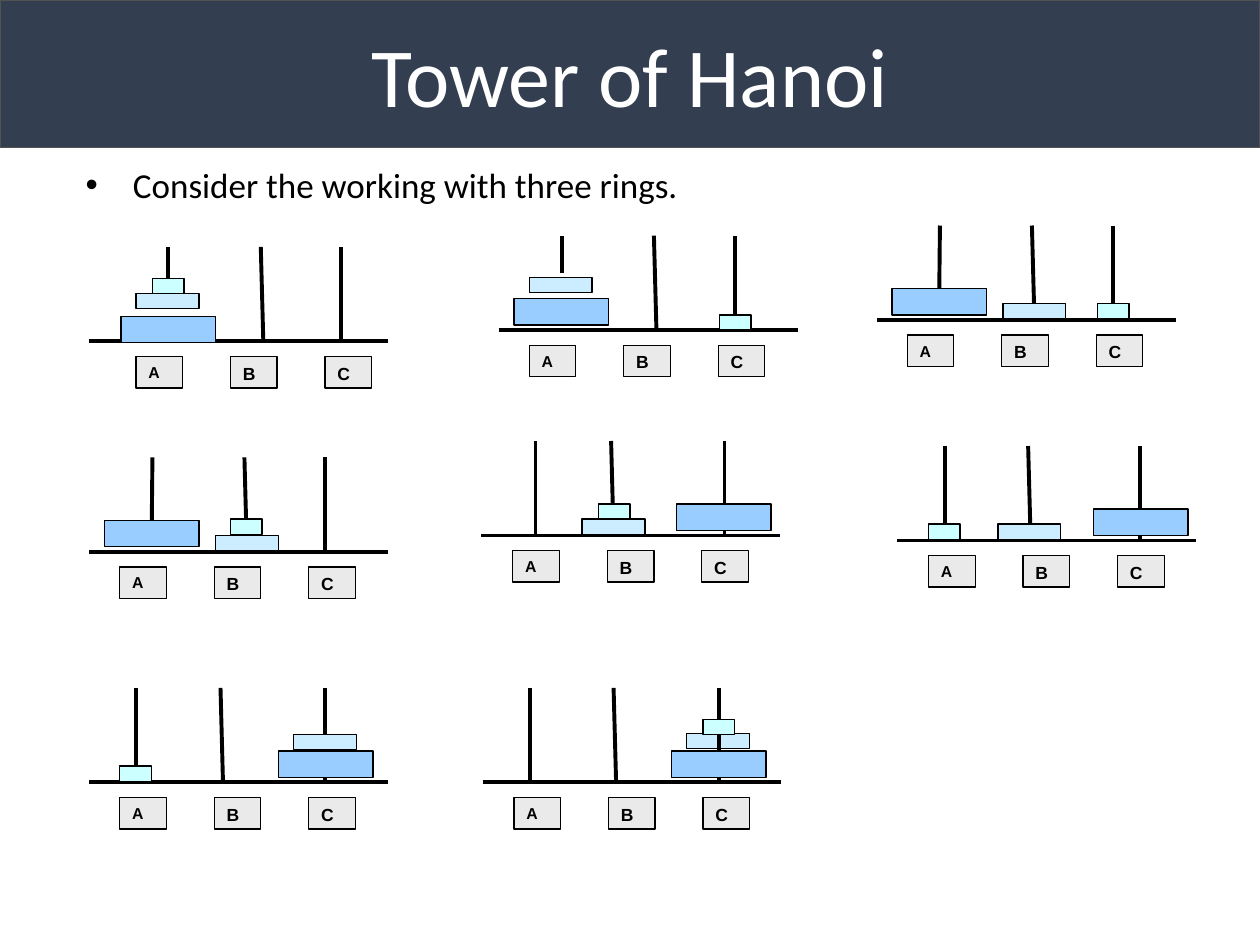
from typing import NamedTuple

from lxml.etree import SubElement
from pptx import Presentation
from pptx.dml.color import RGBColor
from pptx.enum.shapes import MSO_CONNECTOR, MSO_SHAPE
from pptx.enum.text import MSO_ANCHOR, MSO_AUTO_SIZE, PP_ALIGN
from pptx.oxml.ns import qn
from pptx.util import Inches, Pt

COLORS = {
    "banner": "333F50", "banner_edge": "525252", "white": "FFFFFF",
    "black": "000000", "label": "EAEAEA",
    "large": "99CCFF", "medium": "CCECFF", "small": "CCFFFF",
}
RING_SIZES = {"large": (0.75, 0.21), "medium": (0.5, 0.12), "small": (0.25, 0.12)}
BASE_WIDTH, PEG_HEIGHT, PEG_B_LEAN = 2.37, 0.75, 0.02
LABEL_DROP, LABEL_STEP, LABEL_SIZE = 0.12, 0.75, (0.37, 0.25)
LABELS = (("A", 9), ("B", 10), ("C", 10))


class Ring(NamedTuple):
    size: str
    dx: float             # from the left end of the base
    rise: float           # top edge above the base
    behind: bool = False  # drawn behind the pegs


class Stage(NamedTuple):
    left: float
    base: float
    label_dx: float
    pegs: tuple[float, float, float]
    rings: tuple[Ring, ...]
    peg_a_lift: float = 0         # peg A shows only above its rings
    peg_a_on_large: bool = False  # peg A ends on top of the large ring


STAGES = (
    Stage(0.71, 2.71, 0.37, (0.62, 1.38, 2),
          (Ring("large", 0.25, 0.2), Ring("medium", 0.37, 0.38),
           Ring("small", 0.5, 0.5)), peg_a_lift=0.45),
    Stage(3.96, 2.62, 0.24, (0.5, 1.25, 1.87),
          (Ring("large", 0.12, 0.25), Ring("medium", 0.24, 0.42),
           Ring("small", 1.75, 0.12)), peg_a_lift=0.45),
    Stage(6.96, 2.54, 0.24, (0.5, 1.25, 1.87),
          (Ring("large", 0.12, 0.25), Ring("medium", 1, 0.13),
           Ring("small", 1.75, 0.13)), peg_a_lift=0.25, peg_a_on_large=True),
    Stage(0.71, 4.38, 0.24, (0.5, 1.25, 1.87),
          (Ring("large", 0.12, 0.25), Ring("medium", 1, 0.13),
           Ring("small", 1.12, 0.26)), peg_a_lift=0.25, peg_a_on_large=True),
    Stage(3.82, 4.25, 0.25, (0.43, 1.05, 1.93),
          (Ring("large", 1.55, 0.25), Ring("medium", 0.8, 0.13),
           Ring("small", 0.93, 0.25))),
    Stage(7.12, 4.29, 0.25, (0.38, 1.06, 1.93),
          (Ring("large", 1.56, 0.25), Ring("medium", 0.8, 0.13),
           Ring("small", 0.25, 0.13))),
    Stage(0.71, 6.21, 0.24, (0.37, 1.06, 1.87),
          (Ring("large", 1.5, 0.25), Ring("medium", 1.62, 0.38),
           Ring("small", 0.24, 0.13))),
    Stage(3.83, 6.21, 0.25, (0.38, 1.06, 1.88),
          (Ring("medium", 1.62, 0.39, behind=True), Ring("large", 1.5, 0.25),
           Ring("small", 1.75, 0.5))),
)


def rgb(name: str) -> RGBColor:
    return RGBColor.from_string(COLORS[name])


def write(holder, text: str, *, size: float, font: str = "Calibri",
          color: str = "black", bold: bool = False,
          align=PP_ALIGN.LEFT, anchor=MSO_ANCHOR.TOP) -> None:
    frame = holder.text_frame
    frame.word_wrap = True
    frame.auto_size = MSO_AUTO_SIZE.NONE
    frame.vertical_anchor = anchor
    frame.text = text
    paragraph = frame.paragraphs[0]
    paragraph.alignment = align
    paragraph.space_before = Pt(0)
    run_font = paragraph.runs[0].font
    run_font.name, run_font.size, run_font.bold = font, Pt(size), bold
    run_font.color.rgb = rgb(color)


def place(holder, left: float, top: float, width: float, height: float) -> None:
    holder.left, holder.top = Inches(left), Inches(top)
    holder.width, holder.height = Inches(width), Inches(height)


def add_box(group, left: float, top: float, size: tuple[float, float], fill: str):
    box = group.shapes.add_shape(MSO_SHAPE.RECTANGLE, Inches(left), Inches(top),
                                 Inches(size[0]), Inches(size[1]))
    box.shadow.inherit = False
    box.fill.solid()
    box.fill.fore_color.rgb = rgb(fill)
    box.line.color.rgb = rgb("black")
    box.line.width = Pt(0.75)
    return box


def add_bar(group, x1: float, y1: float, x2: float, y2: float):
    bar = group.shapes.add_connector(MSO_CONNECTOR.STRAIGHT, Inches(x1), Inches(y1),
                                     Inches(x2), Inches(y2))
    bar.line.color.rgb = rgb("black")
    bar.line.width = Pt(2.25)
    SubElement(bar._element.spPr, qn("a:effectLst"))
    return bar


def add_ring(group, stage: Stage, ring: Ring):
    return add_box(group, stage.left + ring.dx, stage.base - ring.rise,
                   RING_SIZES[ring.size], ring.size)


def draw_stage(slide, stage: Stage) -> None:
    group = slide.shapes.add_group_shape()
    for ring in stage.rings:
        if ring.behind:
            add_ring(group, stage, ring)

    # Base and pegs
    add_bar(group, stage.left, stage.base, stage.left + BASE_WIDTH, stage.base)
    lifts, leans = (stage.peg_a_lift, 0, 0), (0, PEG_B_LEAN, 0)
    pegs = [add_bar(group, stage.left + dx, stage.base - lift,
                    stage.left + dx - lean, stage.base - PEG_HEIGHT)
            for dx, lift, lean in zip(stage.pegs, lifts, leans)]

    # Rings in front of the pegs
    for ring in stage.rings:
        if not ring.behind:
            disc = add_ring(group, stage, ring)
            if stage.peg_a_on_large and ring.size == "large":
                pegs[0].begin_connect(disc, 0)

    # Peg labels
    for index, (letter, size) in enumerate(LABELS):
        label = add_box(group, stage.left + stage.label_dx + index * LABEL_STEP,
                        stage.base + LABEL_DROP, LABEL_SIZE, "label")
        write(label, letter, size=size, font="Arial", bold=True)


def main() -> None:
    deck = Presentation()
    deck.slide_width, deck.slide_height = Inches(10), Inches(7.5)
    slide = deck.slides.add_slide(deck.slide_layouts[1])

    # Title banner
    title = slide.shapes.title
    place(title, 0, 0, 10, 1.17)
    title.fill.solid()
    title.fill.fore_color.rgb = rgb("banner")
    title.line.color.rgb = rgb("banner_edge")
    title.line.width = Pt(1)
    write(title, "Tower of Hanoi", size=48, color="white",
          align=PP_ALIGN.CENTER, anchor=MSO_ANCHOR.MIDDLE)

    # Introduction, without a bullet
    intro = slide.placeholders[1]
    place(intro, 0.58, 1.25, 9, 0.67)
    properties = intro.text_frame.paragraphs[0]._p.get_or_add_pPr()
    properties.set("marL", "0")
    properties.set("indent", "0")
    SubElement(properties, qn("a:buNone"))
    write(intro, "Consider the working with three rings.", size=20)

    # The eight stages of the puzzle
    for stage in STAGES:
        draw_stage(slide, stage)

    deck.save("out.pptx")


if __name__ == "__main__":
    main()
